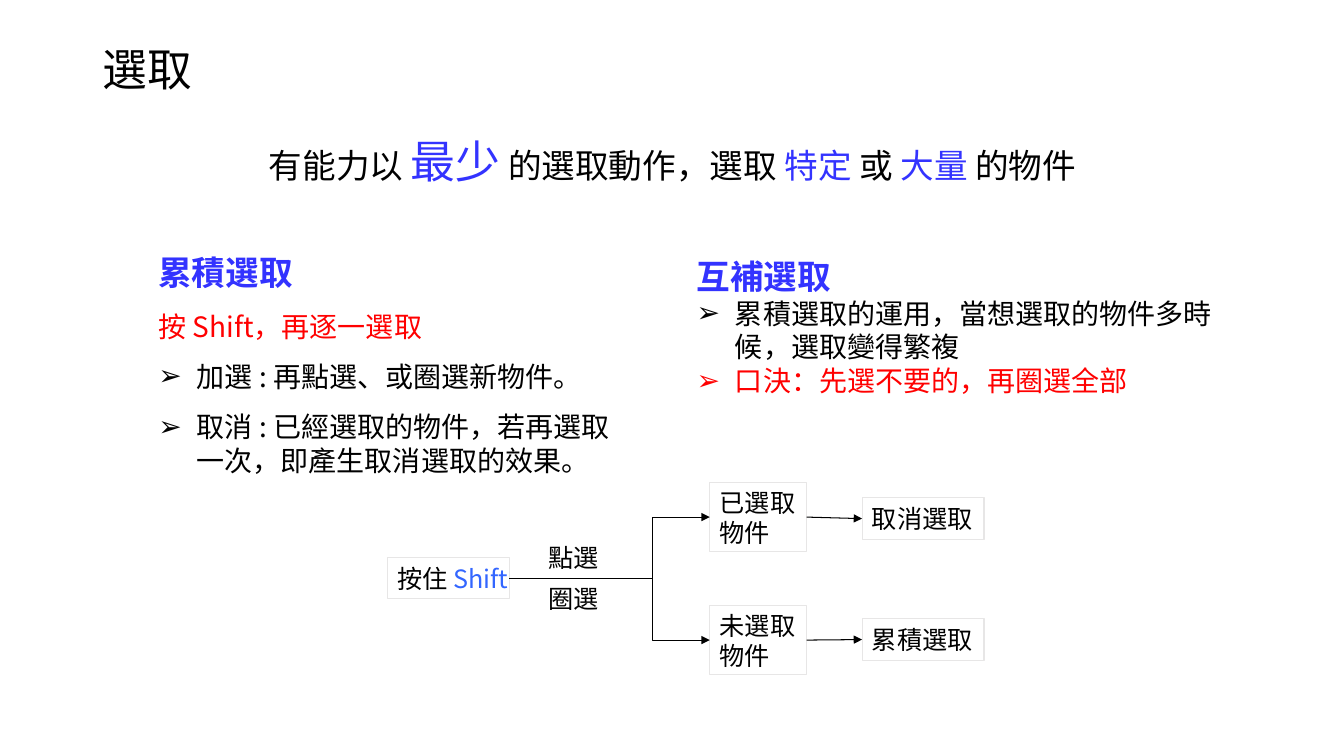
"""Build the slide on cumulative and complementary selection."""
from dataclasses import dataclass

from pptx import Presentation
from pptx import util as u
from pptx.dml.color import RGBColor
from pptx.enum import shapes, text
from pptx.oxml.ns import qn
from pptx.oxml.xmlchemy import OxmlElement

FONT = "Noto Sans CJK SC"
BLACK, WHITE, BLUE, RED = "000000", "FFFFFF", "3333FF", "FF0000"
SHIFT_BLUE, BORDER = "3366FF", "E7E6E6"
BEND = 0.714


@dataclass
class Span:
    text: str
    size: float = 18
    colour: str = BLACK
    bold: bool = False


@dataclass
class Para:
    spans: list[Span]
    bullet: bool = False
    before: float = 0


@dataclass
class Node:
    lines: list[list[Span]]
    left: float
    top: float
    width: float = 1.21
    height: float = 0.41


def rgb(value: str) -> RGBColor:
    return RGBColor.from_string(value)


def place(shape, left: float, top: float, width: float, height: float) -> None:
    shape.left, shape.top = u.Inches(left), u.Inches(top)
    shape.width, shape.height = u.Inches(width), u.Inches(height)


def set_bullet(para, shown: bool) -> None:
    properties = para._p.get_or_add_pPr()
    indent = u.Inches(0.38) if shown else 0
    properties.set("marL", str(indent))
    properties.set("indent", str(-indent))
    mark = OxmlElement("a:buChar" if shown else "a:buNone")
    if shown:
        mark.set("char", "➢")
    properties.append(mark)


def write(shape, paras: list[Para], *, anchor=text.MSO_ANCHOR.MIDDLE,
          align=text.PP_ALIGN.LEFT, wrap: bool = True, spacing: float = 1) -> None:
    frame = shape.text_frame
    frame.auto_size = text.MSO_AUTO_SIZE.NONE
    frame.word_wrap = wrap
    frame.vertical_anchor = anchor
    for index, item in enumerate(paras):
        para = frame.add_paragraph() if index else frame.paragraphs[0]
        set_bullet(para, item.bullet)
        para.alignment = align
        para.line_spacing = spacing
        para.space_before = u.Pt(item.before)
        for span in item.spans:
            run = para.add_run()
            run.text = span.text
            run.font.size = u.Pt(span.size)
            run.font.bold = span.bold
            run.font.color.rgb = rgb(span.colour)
            run.font.name = FONT
            east_asian = OxmlElement("a:ea")
            east_asian.set("typeface", FONT)
            run.font._element.append(east_asian)


def add_node(page, node: Node):
    box = page.shapes.add_shape(
        shapes.MSO_SHAPE.RECTANGLE, *map(u.Inches, (node.left, node.top, node.width, node.height)))
    box.shadow.inherit = False
    box.fill.background()
    box.line.color.rgb = rgb(BORDER)
    box.line.width = u.Pt(0.75)
    write(box, [Para(line) for line in node.lines], wrap=False)
    return box


def add_arrow(page, source, target, elbow: bool = False) -> None:
    kind = shapes.MSO_CONNECTOR.ELBOW if elbow else shapes.MSO_CONNECTOR.STRAIGHT
    arrow = page.shapes.add_connector(
        kind, source.left + source.width, source.top + source.height // 2,
        target.left, target.top + target.height // 2)
    if elbow:
        guide = OxmlElement("a:gd")
        guide.set("name", "adj1")
        guide.set("fmla", f"val {round(BEND * 100000)}")
        arrow._element.spPr.find(qn("a:prstGeom")).get_or_add_avLst().append(guide)
    else:
        arrow.begin_connect(source, 3)
        arrow.end_connect(target, 1)
    arrow.line.color.rgb = rgb(BLACK)
    arrow.line.width = u.Pt(0.75)
    head = OxmlElement("a:tailEnd")
    head.set("type", "triangle")
    arrow.line._get_or_add_ln().append(head)
    arrow._element.spPr.append(OxmlElement("a:effectLst"))


def add_list(holder, paras: list[Para], *bounds: float) -> None:
    place(holder, *bounds)
    holder.fill.solid()
    holder.fill.fore_color.rgb = rgb(WHITE)
    write(holder, paras, anchor=text.MSO_ANCHOR.TOP)


def add_texts(page) -> None:
    title, left_list, right_list = page.placeholders
    place(title, 0.92, 0.4, 11.5, 0.62)
    write(title, [Para([Span("選取", 32)])], spacing=0.9)

    add_list(left_list, [
        Para([Span("累積選取", 24, BLUE, True)]),
        Para([Span("按 Shift，再逐一選取", 20, RED)], before=12),
        Para([Span("加選 : 再點選、或圈選新物件。", 20)], True, 12),
        Para([Span("取消 : 已經選取的物件，若再選取一次，即產生取消選取的效果。", 20)], True, 12),
    ], 1.47, 2.45, 4.93, 3.08)
    add_list(right_list, [
        Para([Span("互補選取", 24, BLUE, True)]),
        Para([Span("累積選取的運用，當想選取的物件多時候，選取變得繁複", 20)], True),
        Para([Span("口決：先選不要的，再圈選全部", 20, RED)], True),
    ], 6.81, 2.49, 5.5, 1.89)

    goal = page.shapes.add_textbox(*map(u.Inches, (2.17, 1.07, 9, 1.05)))
    goal.fill.solid()
    goal.fill.fore_color.rgb = rgb(WHITE)
    write(goal, [Para([
        Span("有能力以 ", 24), Span("最少", 32, BLUE), Span(" 的選取動作，選取 ", 24),
        Span("特定", 24, BLUE), Span(" 或 ", 24), Span("大量", 24, BLUE), Span(" 的物件", 24),
    ])], align=text.PP_ALIGN.CENTER)


def add_flow(page) -> None:
    start = add_node(page, Node([[Span("按住 "), Span("Shift", colour=SHIFT_BLUE)]], 3.84, 5.53))
    for label, top in (("點選", 5.33), ("圈選", 5.74)):
        box = page.shapes.add_textbox(*map(u.Inches, (5.34, top, 0.7, 0.4)))
        write(box, [Para([Span(label)])], wrap=False)
    for state, state_top, result, result_top in (
            ("已選取", 4.79, "取消選取", 4.94), ("未選取", 6.01, "累積選取", 6.14)):
        case = add_node(page, Node([[Span(state)], [Span("物件")]], 7.04, state_top, 0.96, 0.68))
        outcome = add_node(page, Node([[Span(result)]], 8.55, result_top))
        add_arrow(page, start, case, elbow=True)
        add_arrow(page, case, outcome)


def main() -> None:
    deck = Presentation()
    deck.slide_width, deck.slide_height = u.Inches(13.33), u.Inches(7.5)
    page = deck.slides.add_slide(deck.slide_layouts[3])
    add_texts(page)
    add_flow(page)
    deck.save("out.pptx")


if __name__ == "__main__":
    main()
